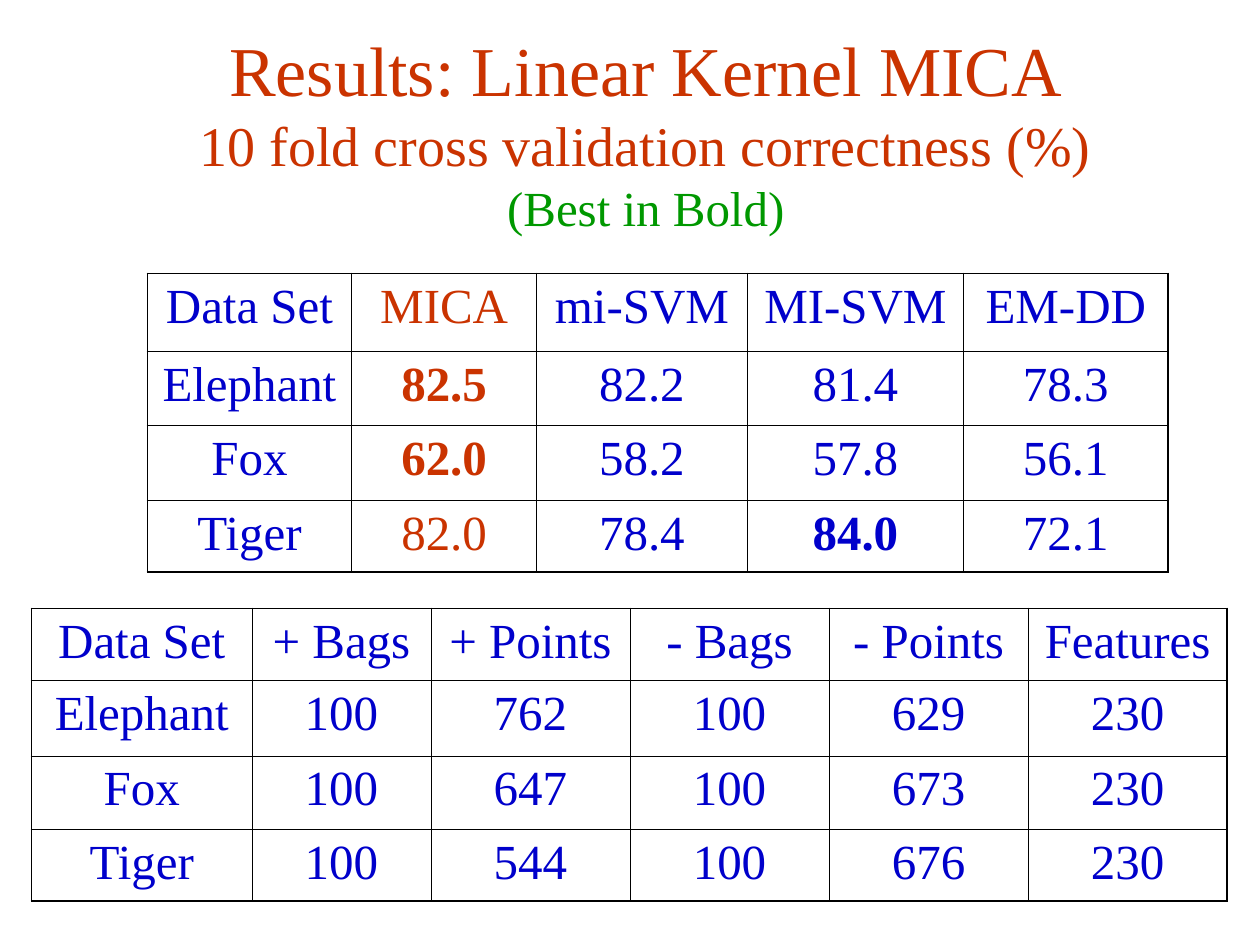
from lxml import etree
from pptx import Presentation
from pptx.dml.color import RGBColor
from pptx.enum import text as tx
from pptx.oxml import ns
from pptx.util import Inches, Pt

FONT = "Times New Roman"
COLORS = {"blue": "0000CB", "red": "CA3300", "green": "009800", "line": "000000"}
THIN, THICK = 0.45, 1.08

SCORES = [
    ["Data Set", "MICA", "mi-SVM", "MI-SVM", "EM-DD"],
    ["Elephant", "82.5", "82.2", "81.4", "78.3"],
    ["Fox", "62.0", "58.2", "57.8", "56.1"],
    ["Tiger", "82.0", "78.4", "84.0", "72.1"],
]
SIZES = [
    ["Data Set", "+ Bags", "+ Points", "- Bags", "- Points", "Features"],
    ["Elephant", "100", "762", "100", "629", "230"],
    ["Fox", "100", "647", "100", "673", "230"],
    ["Tiger", "100", "544", "100", "676", "230"],
]


def put_text(para, words, size=28, color="blue", bold=False):
    para.alignment = tx.PP_ALIGN.CENTER
    run = para.add_run()
    run.text = words
    font = run.font
    font.name, font.size, font.bold = FONT, Pt(size), bold
    font.color.rgb = RGBColor.from_string(COLORS[color])


def add_title(slide, lines):
    box = slide.shapes.add_textbox(
        Inches(0.75), Inches(0.17), Inches(8.75), Inches(1.75))
    frame = box.text_frame
    frame.word_wrap = True
    frame.vertical_anchor = tx.MSO_ANCHOR.MIDDLE
    para = frame.paragraphs[0]
    for i, (words, size, color) in enumerate(lines):
        if i:
            para.add_line_break()
        put_text(para, words, size=size, color=color)


def set_edges(cell, widths):
    """Draw the left, right, top and bottom borders, in that order."""
    props = cell._tc.get_or_add_tcPr()
    for i, (side, width) in enumerate(zip("LRTB", widths)):
        line = etree.Element(ns.qn(f"a:ln{side}"), w=str(Pt(width)))
        fill = etree.SubElement(line, ns.qn("a:solidFill"))
        etree.SubElement(fill, ns.qn("a:srgbClr"), val=COLORS["line"])
        props.insert(i, line)


def add_grid(slide, data, left, top, cols, rows, red=None):
    """Add a table; red is the highlighted column, whose rivals' best is bold."""
    frame = slide.shapes.add_table(
        len(rows), len(cols), Inches(left), Inches(top),
        Inches(sum(cols)), Inches(sum(rows)))
    table = frame.table
    table.first_row = table.horz_banding = False
    for col, width in zip(table.columns, cols):
        col.width = Inches(width)
    for row, height in zip(table.rows, rows):
        row.height = Inches(height)
    for r, line in enumerate(data):
        best = max(line[1:], key=float) if red and r else None
        for c, words in enumerate(line):
            cell = table.cell(r, c)
            cell.fill.background()
            para = cell.text_frame.paragraphs[0]
            para.space_before = Pt(7)
            put_text(para, words, color="red" if c == red else "blue",
                     bold=words == best)
            outer = (c == 0, c == len(cols) - 1, r == 0, r == len(rows) - 1)
            set_edges(cell, [THICK if edge else THIN for edge in outer])


def main():
    deck = Presentation()
    deck.slide_width, deck.slide_height = Inches(10), Inches(7.5)
    slide = deck.slides.add_slide(deck.slide_layouts[6])
    add_grid(slide, SCORES, 1.17, 2.17, [1.62, 1.47, 1.67, 1.72, 1.62],
             [0.62, 0.59, 0.59, 0.57], red=1)
    add_title(slide, [
        ("Results: Linear Kernel MICA", 40, "red"),
        ("10 fold cross validation correctness (%)", 32, "red"),
        ("(Best in Bold)", 28, "green"),
    ])
    add_grid(slide, SIZES, 0.25, 4.83, [1.75, 1.42] + [1.58] * 4,
             [0.57, 0.6, 0.58, 0.57])
    deck.save("out.pptx")


if __name__ == "__main__":
    main()
